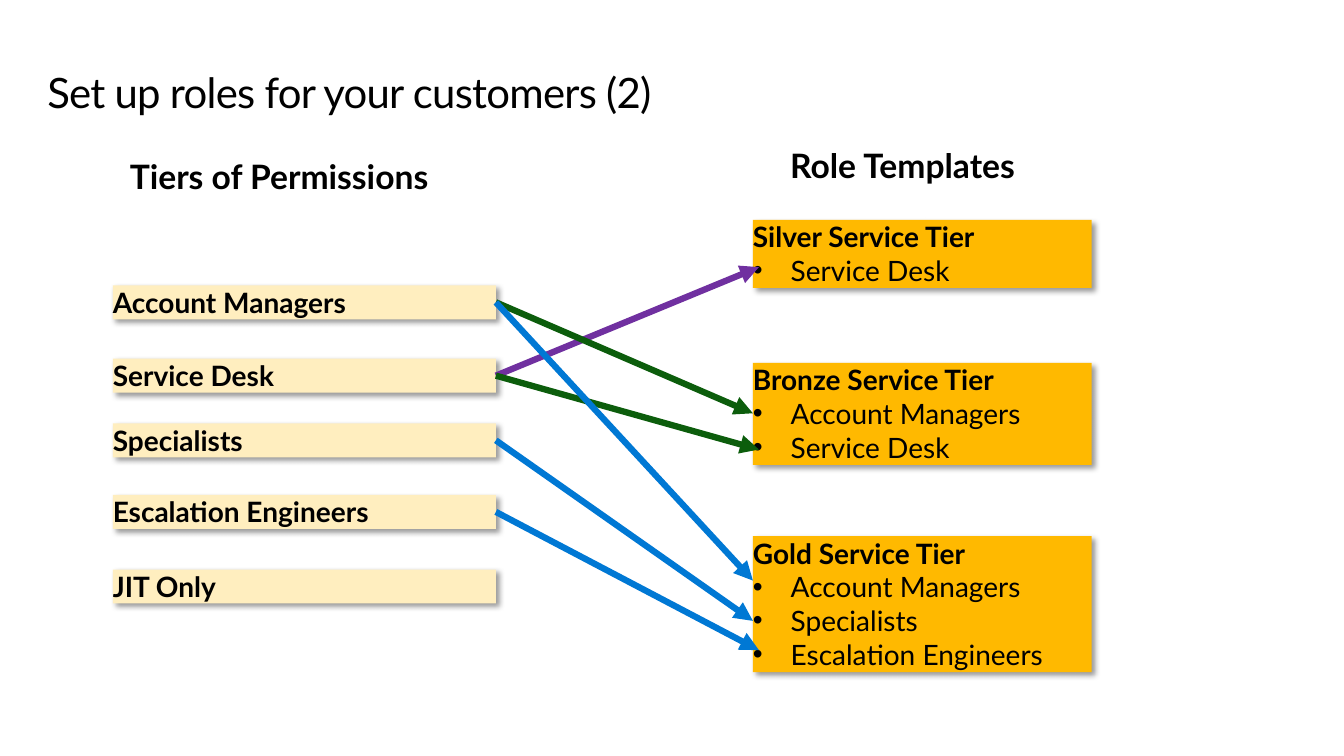
from pptx import Presentation
from pptx import util as u
from pptx.dml.color import RGBColor
from pptx.enum import shapes, text
from pptx.oxml import parse_xml
from pptx.oxml.ns import nsdecls

Pt = u.Pt
COLORS = {"text": "000000", "tier": "FFEEBF", "template": "FFB900",
          "silver": "7030A0", "bronze": "0C5D0C", "gold": "0078D4"}
LINE_H = 24.3   # height of one 20 pt text line
INDENT = 27

# Tier name and top edge
TIERS = {"Account Managers": 203.8, "Service Desk": 256.2, "Specialists": 302.4,
         "Escalation Engineers": 353.5, "JIT Only": 406.8}
# Template name, arrow colour, top edge, and the arrow height for each tier in it
TEMPLATES = [
    ("Silver Service Tier", "silver", 157, {"Service Desk": 33.8}),
    ("Bronze Service Tier", "bronze", 259.2, {"Account Managers": 36, "Service Desk": 61.9}),
    ("Gold Service Tier", "gold", 383,
     {"Account Managers": 31.7, "Specialists": 60.5, "Escalation Engineers": 81.4}),
]


def rgb(name):
    return RGBColor.from_string(COLORS[name])


def write(p, words, size=20, bold=False, bullet=False, spacing=None):
    if bullet:
        pPr = p._p.get_or_add_pPr()
        pPr.set("marL", str(Pt(INDENT)))
        pPr.set("indent", str(-Pt(INDENT)))
        pPr.append(parse_xml(f'<a:buFont {nsdecls("a")} typeface="Arial"/>'))
        pPr.append(parse_xml(f'<a:buChar {nsdecls("a")} char="•"/>'))
    p.alignment = text.PP_ALIGN.LEFT
    r = p.add_run()
    r.text = words
    r.font.name, r.font.size, r.font.bold = "Lato", Pt(size), bold
    r.font.color.rgb = rgb("text")
    if spacing is not None:
        r._r.get_or_add_rPr().set("spc", str(int(spacing * 100)))


def set_margins(tf, left=0, top=0, right=0, bottom=0):
    tf.margin_left, tf.margin_top = Pt(left), Pt(top)
    tf.margin_right, tf.margin_bottom = Pt(right), Pt(bottom)


def text_box(s, x, y, w, h, words, margins, **fmt):
    tf = s.shapes.add_textbox(Pt(x), Pt(y), Pt(w), Pt(h)).text_frame
    tf.word_wrap = True
    set_margins(tf, *margins)
    write(tf.paragraphs[0], words, **fmt)


def card(s, x, y, w, fill, heading, items=()):
    """Shadowed box with a bold heading and optional bullets."""
    h = LINE_H * (1 + len(items))
    sp = s.shapes.add_shape(shapes.MSO_SHAPE.RECTANGLE, Pt(x), Pt(y), Pt(w), Pt(h))
    sp.fill.solid()
    sp.fill.fore_color.rgb = rgb(fill)
    sp.line.fill.background()
    sp._element.spPr.append(parse_xml(
        f'<a:effectLst {nsdecls("a")}><a:outerShdw blurRad="{Pt(4)}" dist="{Pt(3)}" '
        f'dir="{45 * 60000}" algn="tl" rotWithShape="0"><a:srgbClr val="{COLORS["text"]}">'
        '<a:alpha val="40000"/></a:srgbClr></a:outerShdw></a:effectLst>'))
    tf = sp.text_frame
    tf.word_wrap = True
    tf.vertical_anchor = text.MSO_ANCHOR.TOP
    set_margins(tf)
    write(tf.paragraphs[0], heading, bold=True)
    for item in items:
        write(tf.add_paragraph(), item, bullet=True)


def arrow(s, x1, y1, x2, y2, color):
    line = s.shapes.add_connector(shapes.MSO_CONNECTOR.STRAIGHT, Pt(x1), Pt(y1), Pt(x2), Pt(y2))
    line.line.color.rgb = rgb(color)
    line.line.width = Pt(4.5)
    line.line._get_or_add_ln().append(parse_xml(f'<a:headEnd {nsdecls("a")} type="triangle"/>'))
    line._element.spPr.append(parse_xml(f'<a:effectLst {nsdecls("a")}/>'))


def tiers(s, x, w):
    text_box(s, x + 5, 108, 254, 36, "Tiers of Permissions", (7.2, 3.6, 7.2, 3.6),
             size=24, bold=True)
    for name, top in TIERS.items():
        card(s, x, top, w, "tier", name)


def templates(s, x, w):
    text_box(s, x + 19.5, 100, 254, 36, "Role Templates", (7.2, 3.6, 7.2, 3.6),
             size=24, bold=True)
    for name, _, top, links in TEMPLATES:
        card(s, x, top, w, "template", name, list(links))


def links_between(s, left, right):
    """Arrows from tiers to templates; the last one reaches its bullet."""
    for _, color, top, links in TEMPLATES:
        for tier, dy in links.items():
            reach = 4.3 if tier == list(links)[-1] else 0
            arrow(s, right + reach, top + dy, left, TIERS[tier] + LINE_H / 2, color)


def main():
    prs = Presentation()
    prs.slide_width, prs.slide_height = Pt(960), Pt(540)
    s = prs.slides.add_slide(prs.slide_layouts[6])
    # Title
    text_box(s, 33.8, 34.6, 893, 60, "Set up roles for your customers (2)", (0, 13),
             size=29.9, spacing=-0.5)
    # Columns and the arrows between them
    tiers(s, 80.6, 273.6)
    templates(s, 537.8, 242)
    links_between(s, 354.2, 537.8)
    prs.save("out.pptx")


if __name__ == "__main__":
    main()
